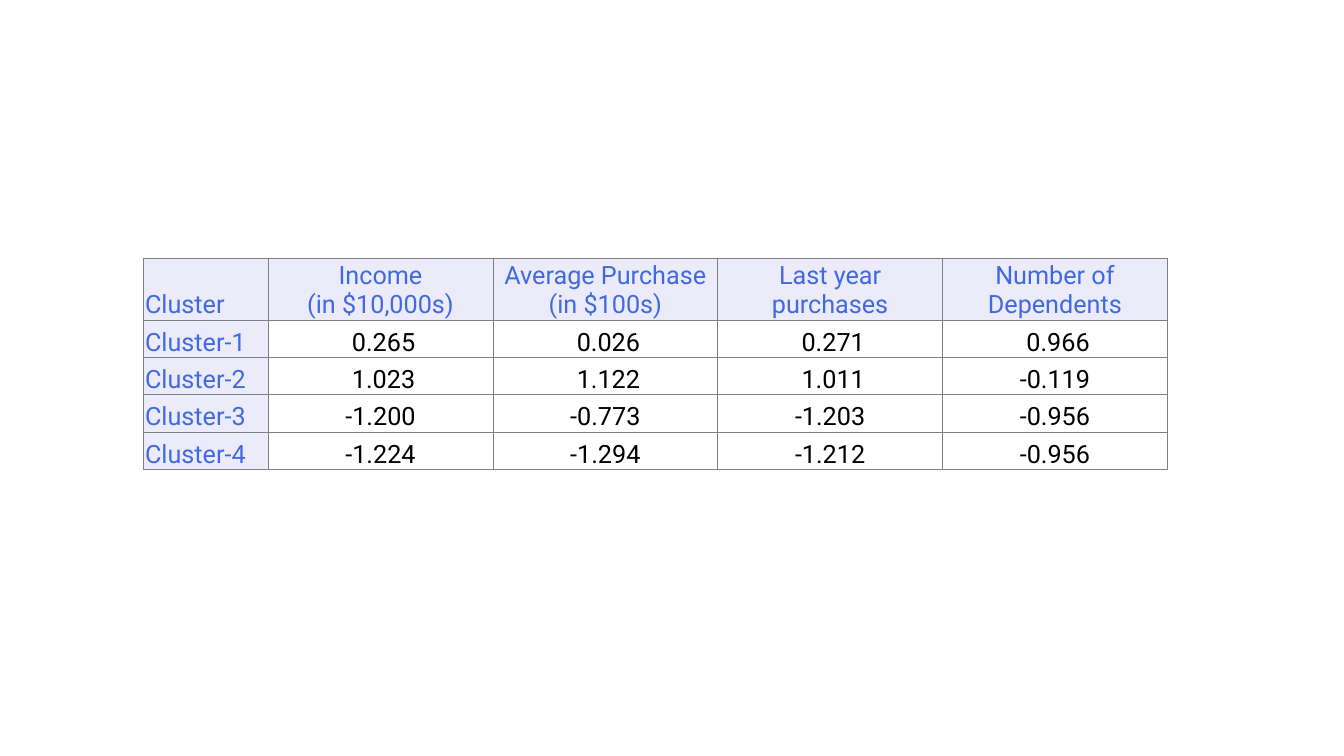
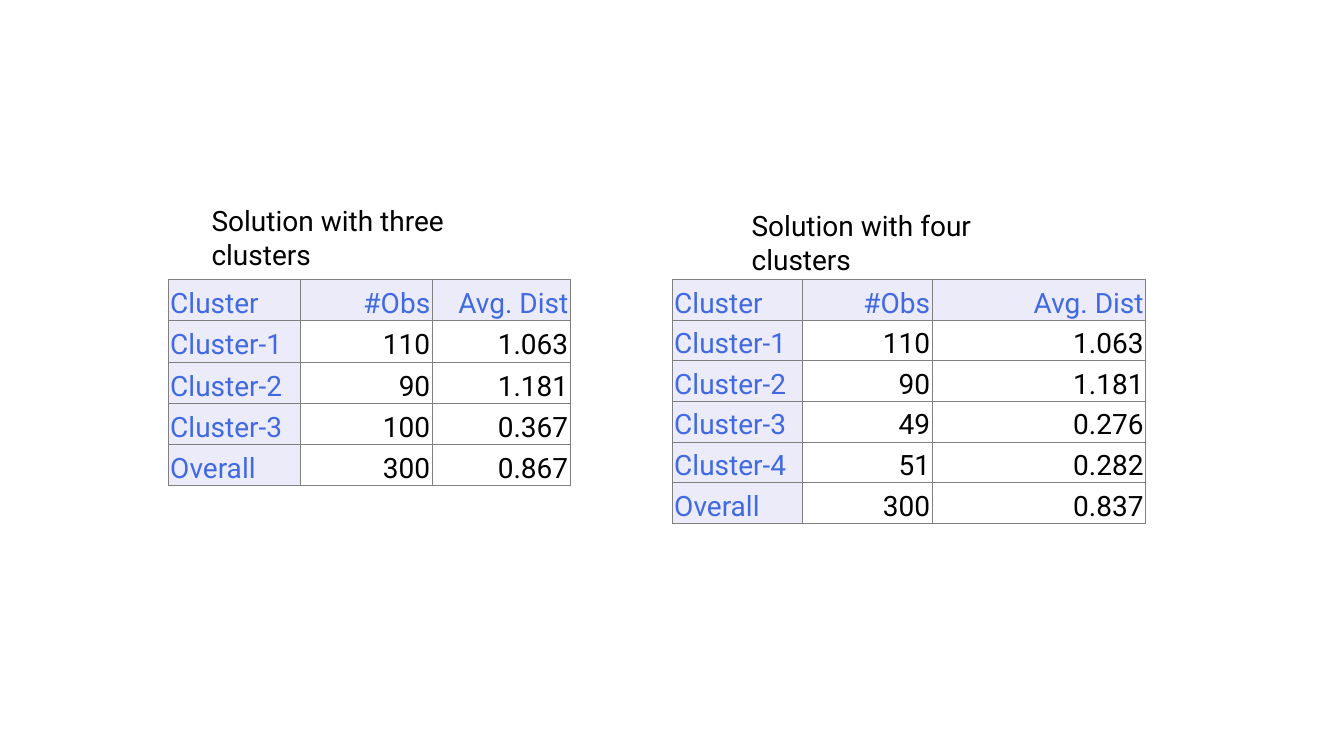
from dataclasses import dataclass

from lxml.etree import SubElement
from pptx import Presentation
from pptx.dml.color import RGBColor
from pptx.enum.text import MSO_ANCHOR as Anchor, PP_ALIGN as Align
from pptx.oxml.ns import qn
from pptx.util import Pt

FONT = "Roboto"
LABEL_COLOR = "4169E1"
LABEL_FILL = "EBEBFA"
VALUE_COLOR = "000000"
BORDER_COLOR = "808080"
BORDER_WIDTH = 0.5
CELL_INSET = 1.44
BLANK_LAYOUT = 6


@dataclass(frozen=True)
class ClusterTable:
    left: float
    top: float
    column_widths: list[float]
    header_height: float
    row_height: float
    size: float
    value_align: Align
    rows: list[list[str]]


@dataclass(frozen=True)
class Caption:
    left: float
    top: float
    width: float
    text: str


def rgb(color: str) -> RGBColor:
    return RGBColor.from_string(color)


def style_text(frame, size: float, color: str, align: Align) -> None:
    for para in frame.paragraphs:
        para.alignment = align
        for span in para.runs:
            span.font.name = FONT
            span.font.size = Pt(size)
            span.font.color.rgb = rgb(color)


def add_borders(cell) -> None:
    """Draw all four cell borders; they must precede the fill in the XML."""
    properties = cell._tc.get_or_add_tcPr()
    for index, side in enumerate(("lnL", "lnR", "lnT", "lnB")):
        line = SubElement(properties, qn(f"a:{side}"), w=str(Pt(BORDER_WIDTH)))
        fill = SubElement(line, qn("a:solidFill"))
        SubElement(fill, qn("a:srgbClr"), val=BORDER_COLOR)
        properties.insert(index, line)


def format_cell(cell, text: str, is_label: bool, size: float, align: Align) -> None:
    cell.text_frame.text = text
    cell.vertical_anchor = Anchor.BOTTOM
    cell.margin_left = cell.margin_right = cell.margin_top = Pt(CELL_INSET)
    cell.margin_bottom = 0
    if is_label:
        cell.fill.solid()
        cell.fill.fore_color.rgb = rgb(LABEL_FILL)
    else:
        cell.fill.background()
    style_text(cell.text_frame, size, LABEL_COLOR if is_label else VALUE_COLOR, align)
    add_borders(cell)


def add_cluster_table(page, content: ClusterTable) -> None:
    heights = [content.header_height] + [content.row_height] * (len(content.rows) - 1)
    table = page.shapes.add_table(
        len(heights), len(content.column_widths), Pt(content.left), Pt(content.top),
        Pt(sum(content.column_widths)), Pt(sum(heights)),
    ).table
    table.first_row = table.horz_banding = False
    for column, width in zip(table.columns, content.column_widths):
        column.width = Pt(width)
    for row, height in zip(table.rows, heights):
        row.height = Pt(height)
    for row_index, texts in enumerate(content.rows):
        for column_index, text in enumerate(texts):
            format_cell(
                table.cell(row_index, column_index), text,
                is_label=row_index == 0 or column_index == 0,
                size=content.size,
                align=content.value_align if column_index else Align.LEFT,
            )


def add_caption(page, caption: Caption) -> None:
    box = page.shapes.add_textbox(
        Pt(caption.left), Pt(caption.top), Pt(caption.width), Pt(31.5)
    )
    box.text_frame.word_wrap = True
    box.text_frame.text = caption.text
    style_text(box.text_frame, 20, VALUE_COLOR, Align.LEFT)


def signed_row(label: str, *values: float) -> list[str]:
    """Format values with a space in place of a plus sign."""
    return [label, *(f"{value: .3f}" for value in values)]


def distance_table(
    left: float, column_widths: list[float], row_height: float, rows: list[list[str]]
) -> ClusterTable:
    header = ["Cluster", "#Obs", "Avg. Dist"]
    return ClusterTable(
        left, 199.5, column_widths, row_height, row_height, 20, Align.RIGHT,
        [header, *rows],
    )


CENTROIDS = ClusterTable(
    left=102.2, top=184.4, column_widths=[89.3] + [160.6] * 4,
    header_height=44.2, row_height=26.7, size=18, value_align=Align.CENTER,
    rows=[
        ["Cluster", "Income\n(in $10,000s)", "Average Purchase\n(in $100s)",
         "Last year purchases", "Number of Dependents"],
        signed_row("Cluster-1", 0.265, 0.026, 0.271, 0.966),
        signed_row("Cluster-2", 1.023, 1.122, 1.011, -0.119),
        signed_row("Cluster-3", -1.2, -0.773, -1.203, -0.956),
        signed_row("Cluster-4", -1.224, -1.294, -1.212, -0.956),
    ],
)

SHARED_ROWS = [["Cluster-1", "110", "1.063"], ["Cluster-2", "90", "1.181"]]

THREE_CLUSTERS = distance_table(
    120.2, [94.3, 94.3, 98.6], 29.5,
    SHARED_ROWS + [["Cluster-3", "100", "0.367"], ["Overall", "300", "0.867"]],
)

FOUR_CLUSTERS = distance_table(
    480.2, [92.8, 92.8, 152.6], 29.05,
    SHARED_ROWS + [
        ["Cluster-3", "49", "0.276"],
        ["Cluster-4", "51", "0.282"],
        ["Overall", "300", "0.837"],
    ],
)

CAPTIONS = [
    Caption(144, 141.8, 239, "Solution with three clusters"),
    Caption(529.8, 145.4, 229, "Solution with four clusters"),
]


def main() -> None:
    deck = Presentation()
    deck.slide_width, deck.slide_height = Pt(960), Pt(540)
    blank = deck.slide_layouts[BLANK_LAYOUT]

    add_cluster_table(deck.slides.add_slide(blank), CENTROIDS)

    comparison_page = deck.slides.add_slide(blank)
    for table in (THREE_CLUSTERS, FOUR_CLUSTERS):
        add_cluster_table(comparison_page, table)
    for caption in CAPTIONS:
        add_caption(comparison_page, caption)

    deck.save("out.pptx")


if __name__ == "__main__":
    main()
